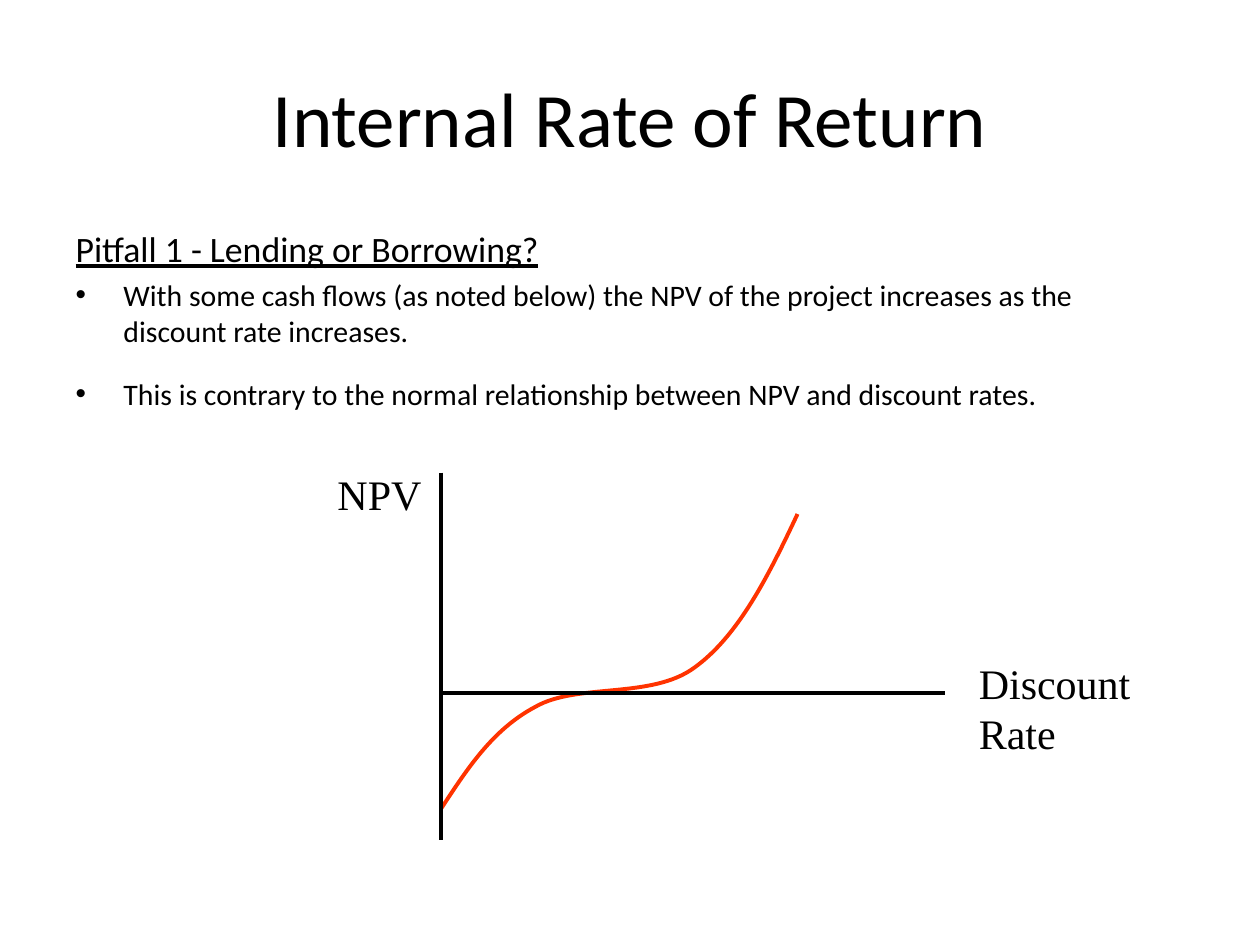
from dataclasses import dataclass

from lxml import etree
from pptx import Presentation, util as u
from pptx.dml.color import RGBColor
from pptx.enum import shapes, text
from pptx.oxml.ns import qn


@dataclass(frozen=True)
class Theme:
    ink: RGBColor = RGBColor(0x00, 0x00, 0x00)
    curve: RGBColor = RGBColor(0xFF, 0x33, 0x00)
    paper: RGBColor = RGBColor(0xFF, 0xFF, 0xFF)
    font: str = "Calibri"
    label_font: str = "Times New Roman"
    title: float = 44
    heading: float = 20.4
    bullet: float = 17
    label: float = 24
    stroke: float = 2.25


THEME = Theme()
INDENT = 0.38


def place(shape, box):
    shape.left, shape.top, shape.width, shape.height = map(u.Inches, box)


def add_span(para, words, size, font=THEME.font, underline=None):
    span = para.add_run()
    span.text = words
    span.font.size = u.Pt(size)
    span.font.name = font
    span.font.color.rgb = THEME.ink
    span.font.underline = underline


def set_bullet(para, mark=None):
    props = para._p.get_or_add_pPr()
    props.set("marL", str(u.Inches(INDENT)))
    props.set("indent", str(u.Inches(-INDENT)))
    if mark:
        etree.SubElement(props, qn("a:buFont"), typeface="Arial")
        etree.SubElement(props, qn("a:buChar"), char=mark)
    else:
        etree.SubElement(props, qn("a:buNone"))


def add_title(page, box, words):
    title = page.shapes.title
    place(title, box)
    frame = title.text_frame
    frame.auto_size = text.MSO_AUTO_SIZE.NONE
    frame.vertical_anchor = text.MSO_ANCHOR.MIDDLE
    para = frame.paragraphs[0]
    para.alignment = text.PP_ALIGN.CENTER
    add_span(para, words, THEME.title)


def add_body(page, box, heading, bullets):
    body = page.placeholders[1]
    place(body, box)
    frame = body.text_frame
    frame.auto_size = text.MSO_AUTO_SIZE.NONE
    para = frame.paragraphs[0]
    para.space_before = u.Pt(4)
    set_bullet(para)
    add_span(para, heading, THEME.heading, underline=True)
    for words, gap in bullets:
        para = frame.add_paragraph()
        para.space_before = u.Pt(gap)
        set_bullet(para, "•")
        add_span(para, words, THEME.bullet)


def add_axis(page, start, end):
    axis = page.shapes.add_connector(
        shapes.MSO_CONNECTOR.STRAIGHT, *map(u.Inches, start + end))
    axis.line.color.rgb = THEME.ink
    axis.line.width = u.Pt(THEME.stroke)
    etree.SubElement(axis._element.spPr, qn("a:effectLst"))


def add_label(page, box, words):
    label = page.shapes.add_textbox(*map(u.Inches, box))
    label.text_frame.word_wrap = True
    para = label.text_frame.paragraphs[0]
    para.space_before = u.Pt(3)
    add_span(para, words, THEME.label, THEME.label_font)


def add_curve(page, points):
    """Draw a start point followed by triples of Bézier control points."""
    start, *rest = [(u.Inches(x), u.Inches(y)) for x, y in points]
    builder = page.shapes.build_freeform(*start)
    builder.add_line_segments(rest, close=False)
    curve = builder.convert_to_shape()
    curve.shadow.inherit = False
    curve.fill.background()
    curve.line.color.rgb = THEME.curve
    curve.line.width = u.Pt(THEME.stroke)
    # Each three straight segments become one cubic segment
    steps = list(curve._element.iter(qn("a:lnTo")))
    for first in range(0, len(steps), 3):
        group = steps[first:first + 3]
        cubic = etree.Element(qn("a:cubicBezTo"))
        group[0].addprevious(cubic)
        for step in group:
            cubic.append(step[0])
            step.getparent().remove(step)


def add_npv_graph(page, box):
    left, top, width, height = box
    zero = top + 1.75
    # Offsets from the top of the NPV axis
    offsets = [(2.83, 0.33),
               (2.6, 0.82), (2.36, 1.3), (2.01, 1.55),
               (1.67, 1.8), (1.08, 1.67), (0.75, 1.86),
               (0.41, 2.04), (0.21, 2.35), (0, 2.67)]
    add_curve(page, [(left + x, top + y) for x, y in offsets])
    add_axis(page, (left, top), (left, top + height))
    add_axis(page, (left, zero), (left + width, zero))
    add_label(page, (left + width + 0.17, zero - 0.33, 1.67, 0.9), "Discount Rate")
    add_label(page, (left - 0.92, top - 0.08, 1, 0.5), "NPV")


def main():
    deck = Presentation()
    deck.slide_width, deck.slide_height = u.Inches(10), u.Inches(7.5)
    page = deck.slides.add_slide(deck.slide_layouts[1])
    page.background.fill.solid()
    page.background.fill.fore_color.rgb = THEME.paper

    add_title(page, (0.5, 0.3, 9, 1.25), "Internal Rate of Return")
    add_body(page, (0.5, 1.75, 8.57, 1.62), "Pitfall 1 - Lending or Borrowing?", [
        ("With some cash flows (as noted below) the NPV of the project "
         "increases as the discount rate increases.", 4),
        ("This is contrary to the normal relationship between NPV and "
         "discount rates.", 15.8),
    ])
    add_npv_graph(page, (3.5, 3.75, 4, 2.92))
    deck.save("out.pptx")


if __name__ == "__main__":
    main()
